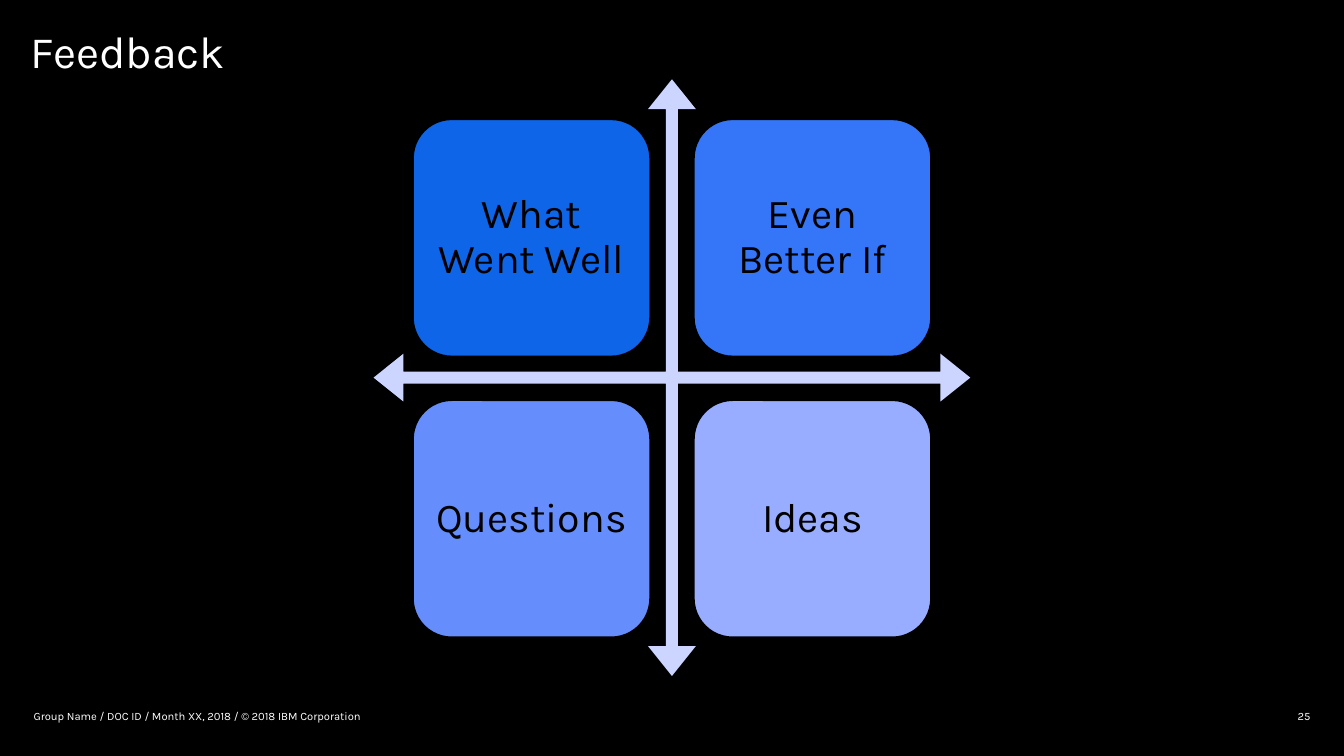
from dataclasses import dataclass

from pptx import Presentation
from pptx.dml.color import RGBColor
from pptx.enum.shapes import MSO_SHAPE as Preset
from pptx.enum.text import MSO_ANCHOR as Anchor, PP_ALIGN as Align
from pptx.slide import Slide
from pptx.text.text import TextFrame
from pptx.util import Emu, Pt

EMU_PER_PX = 4572


@dataclass(frozen=True)
class Theme:
    font: str = "Karla"
    background: str = "000000"
    light: str = "FFFFFF"
    dark: str = "000000"
    arrow: str = "CCD5FF"
    title_size: int = 24
    card_size: int = 22
    footer_size: int = 6
    outline: int = 2
    line_spacing: float = 0.9


@dataclass(frozen=True)
class Area:
    left: int
    top: int
    width: int
    height: int

    def emu(self) -> tuple[Emu, Emu, Emu, Emu]:
        return px(self.left), px(self.top), px(self.width), px(self.height)


@dataclass(frozen=True)
class Card:
    label: str
    fill: str


@dataclass(frozen=True)
class Footer:
    text: str
    area: Area
    align: Align


THEME = Theme()
TITLE_AREA = Area(46, 44, 906, 176)
ARROW_AREA = Area(556, 118, 888, 888)
ARROW_RATIOS = (0.02, 0.04, 0.05)
GRID_LEFT, GRID_TOP = 613, 176
CARD_SIDE, CARD_PITCH, CARD_INSET = 356, 418, 16
COLUMNS = 2
CARDS = [
    Card("What Went Well", "0E65E7"),
    Card("Even Better If", "3476F7"),
    Card("Questions", "658EFC"),
    Card("Ideas", "98ADFF"),
]
FOOTERS = [
    Footer("Group Name / DOC ID / Month XX, 2018 / © 2018 IBM Corporation",
           Area(50, 1048, 900, 36), Align.LEFT),
    Footer("25", Area(1550, 1048, 400, 36), Align.RIGHT),
]


def px(length: int) -> Emu:
    return Emu(length * EMU_PER_PX)


def color(value: str) -> RGBColor:
    return RGBColor.from_string(value)


def write(frame: TextFrame, text: str, size: int, ink: str, align: Align,
          anchor: Anchor, inset: int = 0, spacing: float = 1.0) -> None:
    frame.word_wrap = True
    frame.vertical_anchor = anchor
    frame.margin_left = frame.margin_right = px(inset)
    frame.margin_top = frame.margin_bottom = px(inset)
    para = frame.paragraphs[0]
    para.alignment = align
    para.line_spacing = spacing
    span = para.add_run()
    span.text = text
    span.font.name = THEME.font
    span.font.size = Pt(size)
    span.font.color.rgb = color(ink)


def draw_title(page: Slide, text: str) -> None:
    title = page.shapes.title
    title.left, title.top, title.width, title.height = TITLE_AREA.emu()
    write(title.text_frame, text, THEME.title_size, THEME.light,
          Align.LEFT, Anchor.TOP, spacing=THEME.line_spacing)


def draw_arrows(page: Slide) -> None:
    arrows = page.shapes.add_shape(Preset.QUAD_ARROW, *ARROW_AREA.emu())
    arrows.shadow.inherit = False
    for index, ratio in enumerate(ARROW_RATIOS):
        arrows.adjustments[index] = ratio
    arrows.fill.solid()
    arrows.fill.fore_color.rgb = color(THEME.arrow)
    arrows.line.fill.background()


def draw_card(page: Slide, card: Card, area: Area) -> None:
    box = page.shapes.add_shape(Preset.ROUNDED_RECTANGLE, *area.emu())
    box.shadow.inherit = False
    box.fill.solid()
    box.fill.fore_color.rgb = color(card.fill)
    box.line.color.rgb = color(THEME.background)
    box.line.width = Pt(THEME.outline)
    write(box.text_frame, card.label, THEME.card_size, THEME.dark,
          Align.CENTER, Anchor.MIDDLE, CARD_INSET, THEME.line_spacing)


def draw_footer(page: Slide, footer: Footer) -> None:
    box = page.shapes.add_textbox(*footer.area.emu())
    write(box.text_frame, footer.text, THEME.footer_size, THEME.light,
          footer.align, Anchor.MIDDLE)


def main() -> None:
    deck = Presentation()
    deck.slide_width, deck.slide_height = px(2000), px(1125)
    page = deck.slides.add_slide(deck.slide_layouts[5])
    page.background.fill.solid()
    page.background.fill.fore_color.rgb = color(THEME.background)
    draw_title(page, "Feedback")
    for footer in FOOTERS:
        draw_footer(page, footer)
    draw_arrows(page)
    for index, card in enumerate(CARDS):
        row, column = divmod(index, COLUMNS)
        draw_card(page, card, Area(GRID_LEFT + column * CARD_PITCH,
                                   GRID_TOP + row * CARD_PITCH,
                                   CARD_SIDE, CARD_SIDE))
    deck.save("out.pptx")


if __name__ == "__main__":
    main()
